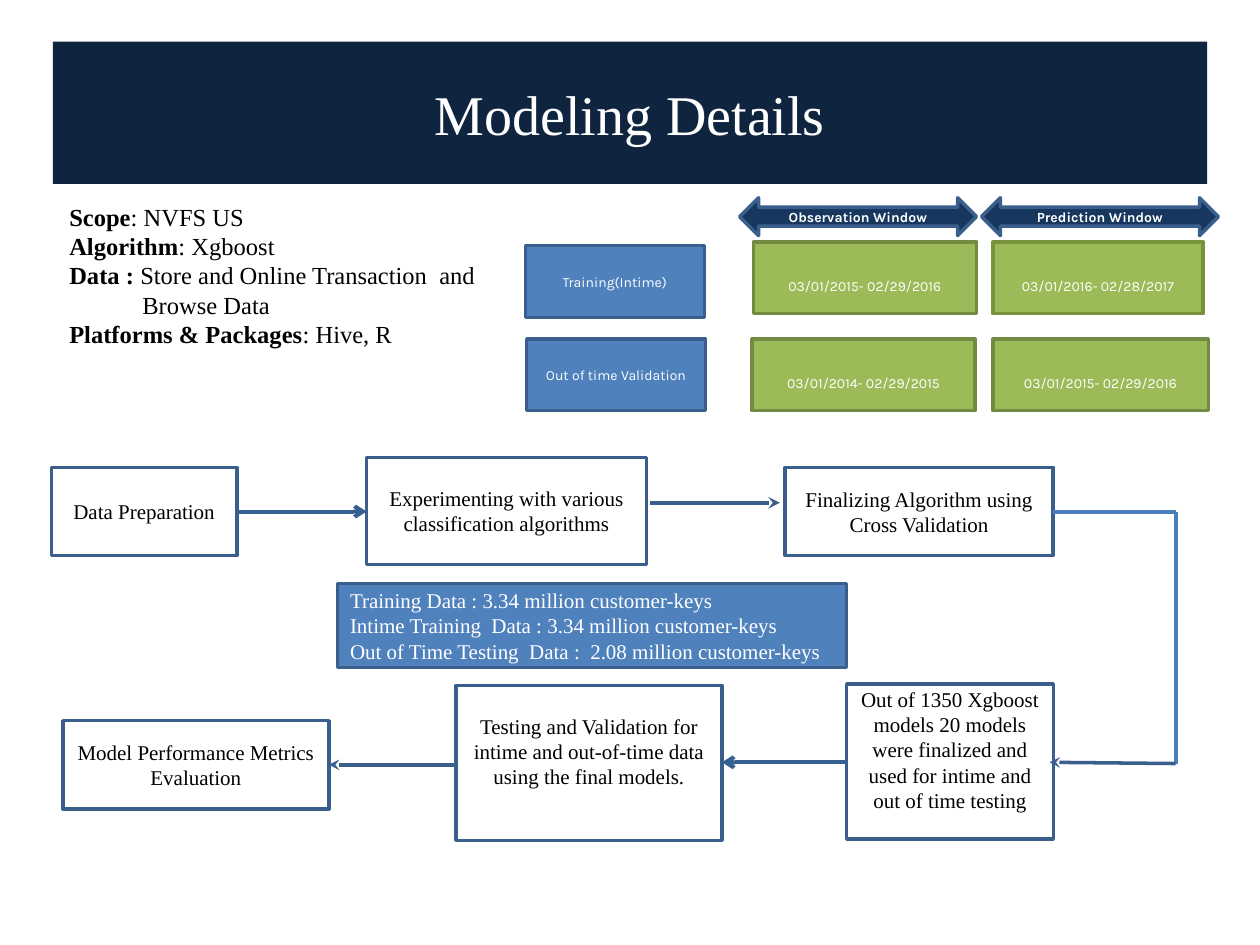
"""Build the Modeling Details slide."""
from lxml import etree
from pptx import Presentation
from pptx.dml.color import RGBColor
from pptx.enum.shapes import MSO_CONNECTOR, MSO_SHAPE
from pptx.enum.text import MSO_ANCHOR, MSO_AUTO_SIZE, PP_ALIGN
from pptx.oxml.ns import qn
from pptx.util import Inches, Pt

RECT, ARROW = MSO_SHAPE.RECTANGLE, MSO_SHAPE.LEFT_RIGHT_ARROW
LEFT, CENTER, JUST = PP_ALIGN.LEFT, PP_ALIGN.CENTER, PP_ALIGN.JUSTIFY
TOP, MIDDLE = MSO_ANCHOR.TOP, MSO_ANCHOR.MIDDLE
STRAIGHT = MSO_CONNECTOR.STRAIGHT
NO_FIT = MSO_AUTO_SIZE.NONE
SERIF, SANS = "Times New Roman", "Karla"
NAVY, DEEP, BLUE, GREEN = "0F243E", "17375E", "4F81BD", "9BBB59"
EDGE, OLIVE, MOSS, ROUTE, STEEL = "3A5F8C", "738A42", "77933C", "4B7EBC", "376092"
WHITE, BLACK = "FFFFFF", "000000"

TITLE = "Modeling Details"
FACTS = [
    [("Scope", True), (": NVFS US", False)],
    [("Algorithm", True), (": Xgboost", False)],
    [("Data : ", True), ("Store and Online Transaction  and", False)],
    [("Browse Data", False)],
    [("Platforms & Packages", True), (": Hive, R", False)],
]
HANG = {3: 0.58}
HEADS = [("Observation Window", 5.87), ("Prediction Window", 7.79)]
SETS = [
    ("Training(Intime)", 4.17, 1.95),
    ("Out of time Validation", 4.18, 2.69),
]
DATES = [
    ("03/01/2015- 02/29/2016", 5.98, 1.92, 1.77, OLIVE),
    ("03/01/2016- 02/28/2017", 7.88, 1.92, 1.67, MOSS),
    ("03/01/2014- 02/29/2015", 5.97, 2.69, 1.77, OLIVE),
    ("03/01/2015- 02/29/2016", 7.88, 2.69, 1.71, OLIVE),
]
STEPS = [
    ("Data Preparation", (0.41, 3.71, 1.47, 0.7), 0.05),
    ("Experimenting with various classification algorithms",
     (2.91, 3.63, 2.22, 0.85), 0.05),
    ("Finalizing Algorithm using Cross Validation",
     (6.23, 3.71, 2.13, 0.7), 0.05),
    ("Out of 1350 Xgboost models 20 models were finalized and used for "
     "intime and out of time testing", (6.72, 5.43, 1.64, 1.23), 0.24),
    ("Testing and Validation for intime and out-of-time data using the "
     "final models.", (3.62, 5.44, 2.11, 1.23), 0.24),
    ("Model Performance Metrics Evaluation", (0.5, 5.72, 2.11, 0.7), 0.05),
]
COUNTS = [
    "Training Data : 3.34 million customer-keys",
    "Intime Training  Data : 3.34 million customer-keys",
    "Out of Time Testing  Data :  2.08 million customer-keys",
]
LINKS = [
    ((1.88, 4.06), (2.91, 4.06), STEEL, 2.25, "arrow"),
    ((5.16, 3.99), (6.19, 3.99), EDGE, 2.25, "stealth"),
    ((8.36, 4.06), (9.33, 4.06), ROUTE, 2.25, None),
    ((9.33, 4.06), (9.33, 6.06), ROUTE, 2.25, None),
    ((9.33, 6.06), (8.33, 6.05), EDGE, 2, "stealth"),
    ((6.72, 6.05), (5.73, 6.05), STEEL, 2.25, "arrow"),
    ((3.62, 6.07), (2.61, 6.07), EDGE, 2, "stealth"),
]


def rgb(code):
    return RGBColor.from_string(code)


def place(shape, box):
    shape.left, shape.top, shape.width, shape.height = map(Inches, box)


def write(shape, paras, size=12, font=SERIF, color=BLACK, align=CENTER,
          anchor=MIDDLE, top=0.05, base=0.05):
    frame = shape.text_frame
    frame.word_wrap = True
    frame.auto_size = NO_FIT
    frame.vertical_anchor = anchor
    frame.margin_left = frame.margin_right = Inches(0.1)
    frame.margin_top, frame.margin_bottom = Inches(top), Inches(base)
    for i, runs in enumerate(paras):
        para = frame.add_paragraph() if i else frame.paragraphs[0]
        para.alignment = align
        para.space_before = Pt(0)
        for text, bold in runs:
            run = para.add_run()
            run.text = text
            run.font.name, run.font.size = font, Pt(size)
            run.font.bold = bold
            run.font.color.rgb = rgb(color)


def add_box(slide, box, fill=None, edge=EDGE, kind=RECT):
    shape = slide.shapes.add_shape(kind, *map(Inches, box))
    shape.shadow.inherit = False
    if fill:
        shape.fill.solid()
        shape.fill.fore_color.rgb = rgb(fill)
    else:
        shape.fill.background()
    shape.line.color.rgb = rgb(edge)
    shape.line.width = Pt(2)
    return shape


def add_link(slide, start, end, color, width, head):
    link = slide.shapes.add_connector(STRAIGHT, *map(Inches, start + end))
    link.line.color.rgb = rgb(color)
    link.line.width = Pt(width)
    if head:
        etree.SubElement(link.line._get_or_add_ln(), qn("a:tailEnd"), type=head)
    etree.SubElement(link._element.spPr, qn("a:effectLst"))


def add_facts(body):
    place(body, (0.45, 1.55, 5, 1.28))
    write(body, FACTS, size=14, align=LEFT, anchor=TOP)
    for i, para in enumerate(body.text_frame.paragraphs):
        props = para._p.get_or_add_pPr()
        props.set("marL", str(Inches(HANG.get(i, 0))))
        props.set("indent", "0")
        etree.SubElement(props, qn("a:buNone"))


def main():
    deck = Presentation()
    deck.slide_width, deck.slide_height = Inches(10), Inches(7.5)
    slide = deck.slides.add_slide(deck.slide_layouts[1])
    title, body = slide.placeholders
    place(title, (0.42, 0.33, 9.16, 1.13))
    title.fill.solid()
    title.fill.fore_color.rgb = rgb(NAVY)
    write(title, [[(TITLE, False)]], size=32, color=WHITE)
    add_facts(body)

    small = {"size": 8, "font": SANS, "color": WHITE}
    for text, x in HEADS:
        shape = add_box(slide, (x, 1.57, 1.88, 0.3), DEEP, kind=ARROW)
        write(shape, [[(text, True)]], **small)
    for text, x, y in SETS:
        shape = add_box(slide, (x, y, 1.42, 0.57), BLUE)
        write(shape, [[(text, False)]], **small)
    for text, x, y, wide, edge in DATES:
        shape = add_box(slide, (x, y, wide, 0.57), GREEN, edge)
        write(shape, [[(text, False)]], top=0.18, **small)

    for text, box, base in STEPS:
        write(add_box(slide, box), [[(text, False)]], base=base)
    shape = add_box(slide, (2.68, 4.63, 4.04, 0.67), BLUE)
    write(shape, [[(text, False)] for text in COUNTS], color=WHITE, align=JUST)
    for link in LINKS:
        add_link(slide, *link)
    deck.save("out.pptx")


if __name__ == "__main__":
    main()
